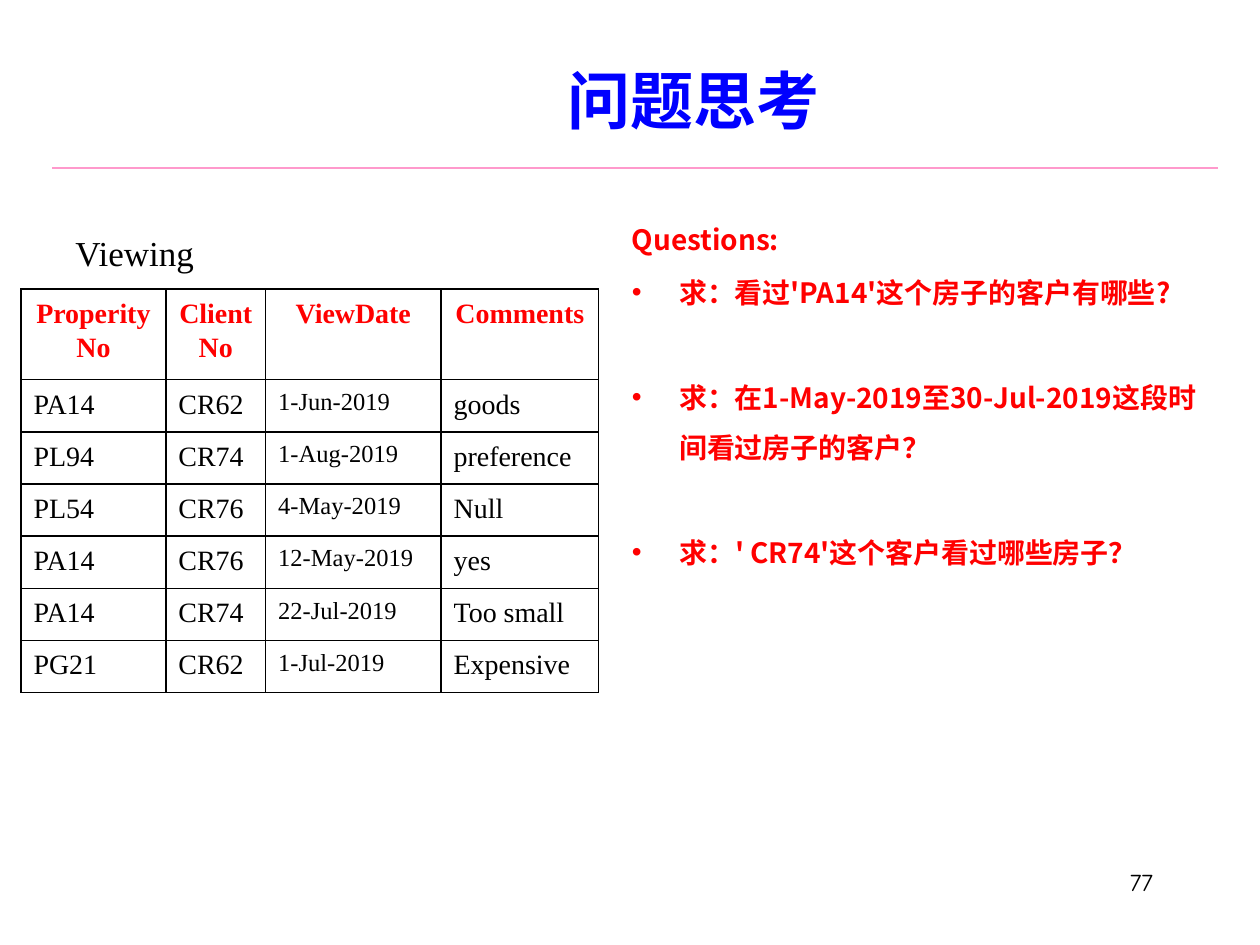
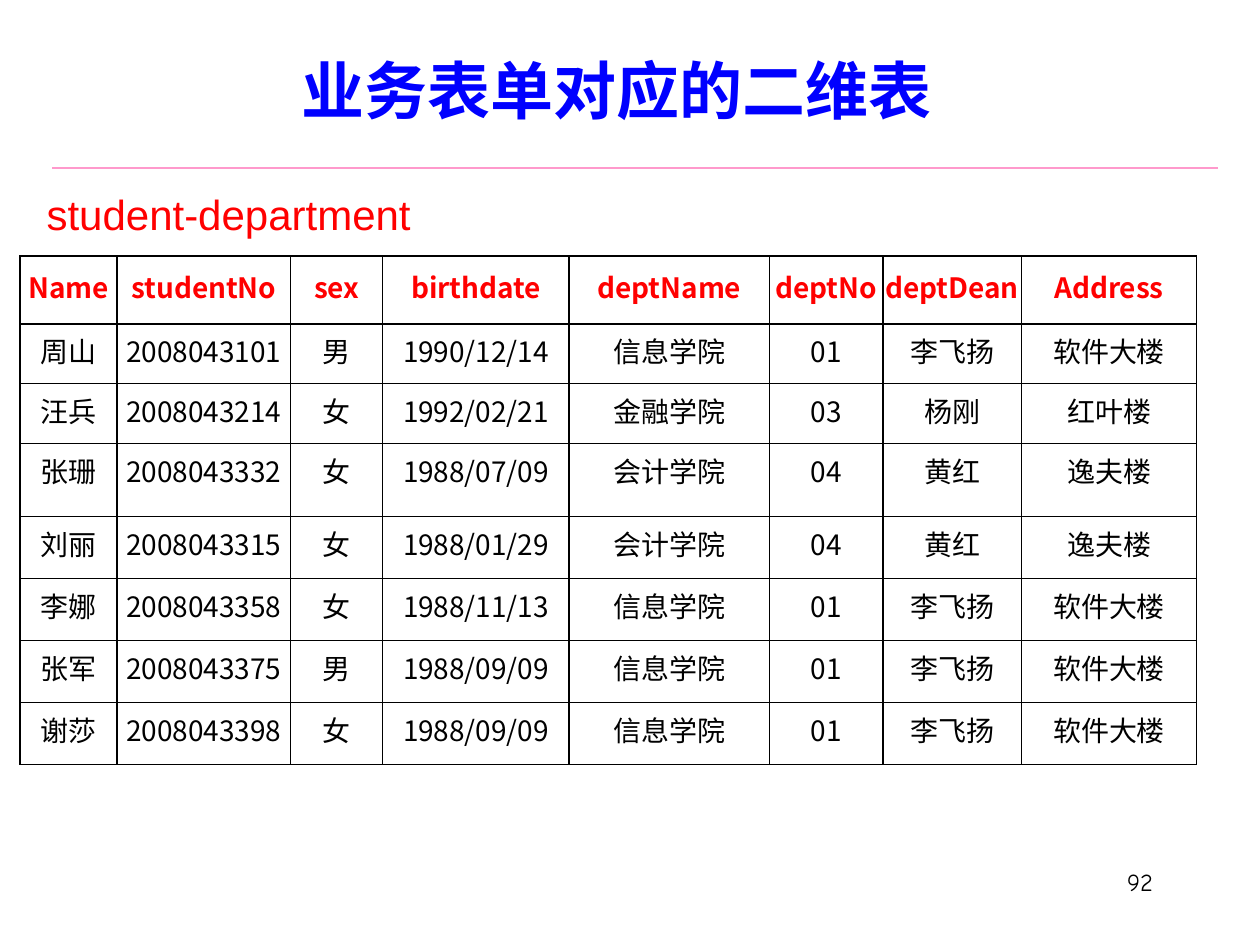
from pptx import Presentation
from pptx.dml.color import RGBColor
from pptx.enum.shapes import MSO_CONNECTOR
from pptx.enum.text import MSO_ANCHOR, MSO_AUTO_SIZE, PP_ALIGN
from pptx.oxml import parse_xml
from pptx.oxml.ns import nsdecls, qn
from pptx.util import Pt
from lxml import etree

LEFT, CENTER, RIGHT = PP_ALIGN.LEFT, PP_ALIGN.CENTER, PP_ALIGN.RIGHT
MIDDLE = MSO_ANCHOR.MIDDLE
NO_FIT = MSO_AUTO_SIZE.NONE
STRAIGHT = MSO_CONNECTOR.STRAIGHT

BLUE = RGBColor(0x00, 0x00, 0xFF)
RED = RGBColor(0xFF, 0x00, 0x00)
BLACK = RGBColor(0x00, 0x00, 0x00)
PINK = RGBColor(0xFF, 0x99, 0xCC)

CJK = "Noto Sans CJK SC"
SERIF = "Times New Roman"
SANS = "Arial"
COMIC = "Comic Neue"


def write(p, text, font, size, color, bold=False, align=LEFT):
    p.text = text
    p.alignment = align
    for r in p.runs:
        r.font.name = font
        r.font.size = Pt(size)
        r.font.bold = bold
        r.font.color.rgb = color
        etree.SubElement(r.font._element, qn("a:ea"), typeface=font)


def add_grid(s, left, top, widths, heights, rows):
    frame = s.shapes.add_table(len(rows), len(widths), Pt(left), Pt(top),
                               Pt(sum(widths)), Pt(sum(heights)))
    table = frame.table
    table.first_row = False
    table.horz_banding = False
    for col, width in zip(table.columns, widths):
        col.width = Pt(width)
    for row, height in zip(table.rows, heights):
        row.height = Pt(height)
    for cell in table.iter_cells():
        tcPr = cell._tc.get_or_add_tcPr()
        for side in ("lnL", "lnR", "lnT", "lnB"):
            tcPr.append(parse_xml(
                f'<a:{side} {nsdecls("a")} w="12700"><a:solidFill>'
                f'<a:srgbClr val="{BLACK}"/></a:solidFill></a:{side}>'))
        cell.fill.background()
    return table


prs = Presentation()
prs.slide_width, prs.slide_height = Pt(720), Pt(540)

pages = [("问题思考", (168, 18, 456, 78), "77"),
         ("业务表单对应的二维表", (20, 12, 664, 78), "92")]
for title, box, number in pages:
    s = prs.slides.add_slide(prs.slide_layouts[5])
    sp = s.shapes.title
    sp.left, sp.top, sp.width, sp.height = map(Pt, box)
    tf = sp.text_frame
    tf.auto_size = NO_FIT
    tf.vertical_anchor = MIDDLE
    write(tf.paragraphs[0], title, CJK, 36, BLUE, True, CENTER)

    rule = s.shapes.add_connector(STRAIGHT, Pt(30), Pt(96), Pt(696), Pt(96))
    rule.line.color.rgb = PINK
    rule.line.width = Pt(1.5)
    etree.SubElement(rule._element.spPr, qn("a:effectLst"))

    tf = s.shapes.add_textbox(Pt(516), Pt(492), Pt(150), Pt(36)).text_frame
    tf.word_wrap = True
    write(tf.paragraphs[0], number, COMIC, 14, BLACK, align=RIGHT)

viewing_slide, student_slide = prs.slides

tf = viewing_slide.shapes.add_textbox(Pt(354), Pt(114), Pt(342), Pt(231)).text_frame
tf.word_wrap = True
questions = [("Questions:", 0),
             ("求：看过'PA14'这个房子的客户有哪些?", 1.6),
             ("求：在1-May-2019至30-Jul-2019这段时间看过房子的客户？", 31),
             ("求：' CR74'这个客户看过哪些房子？", 31)]
for i, (text, gap) in enumerate(questions):
    p = tf.add_paragraph() if i else tf.paragraphs[0]
    write(p, text, CJK, 16, RED, True)
    p.line_spacing = 1.5
    p.space_before = Pt(gap)
    if i:
        pPr = p._p.get_or_add_pPr()
        pPr.set("marL", str(Pt(27)))
        pPr.set("indent", str(Pt(-27)))
        etree.SubElement(pPr, qn("a:buFont"), typeface=SANS)
        etree.SubElement(pPr, qn("a:buChar"), char="•")

tf = viewing_slide.shapes.add_textbox(Pt(36), Pt(129), Pt(83.5), Pt(31)).text_frame
tf.word_wrap = False
tf.vertical_anchor = MIDDLE
write(tf.paragraphs[0], "Viewing", SERIF, 20, BLACK)

viewings = [
    ("ProperityNo", "ClientNo", "ViewDate", "Comments"),
    ("PA14", "CR62", "1-Jun-2019", "goods"),
    ("PL94", "CR74", "1-Aug-2019", "preference"),
    ("PL54", "CR76", "4-May-2019", "Null"),
    ("PA14", "CR76", "12-May-2019", "yes"),
    ("PA14", "CR74", "22-Jul-2019", "Too small"),
    ("PG21", "CR62", "1-Jul-2019", "Expensive"),
]
table = add_grid(viewing_slide, 12, 165, [82.8, 57, 100.3, 90], [52] + [29.8] * 6, viewings)
for i, row in enumerate(viewings):
    for j, text in enumerate(row):
        p = table.cell(i, j).text_frame.paragraphs[0]
        if i == 0:
            write(p, text, SERIF, 16, RED, True, CENTER)
        else:
            write(p, text, SERIF, 14 if j == 2 else 16, BLACK)
        p.line_spacing = 1.1

students = [
    ("Name", "studentNo", "sex", "birthdate", "deptName", "deptNo", "deptDean", "Address"),
    ("周山", "2008043101", "男", "1990/12/14", "信息学院", "01", "李飞扬", "软件大楼"),
    ("汪兵", "2008043214", "女", "1992/02/21", "金融学院", "03", "杨刚", "红叶楼"),
    ("张珊", "2008043332", "女", "1988/07/09", "会计学院", "04", "黄红", "逸夫楼"),
    ("刘丽", "2008043315", "女", "1988/01/29", "会计学院", "04", "黄红", "逸夫楼"),
    ("李娜", "2008043358", "女", "1988/11/13", "信息学院", "01", "李飞扬", "软件大楼"),
    ("张军", "2008043375", "男", "1988/09/09", "信息学院", "01", "李飞扬", "软件大楼"),
    ("谢莎", "2008043398", "女", "1988/09/09", "信息学院", "01", "李飞扬", "软件大楼"),
]
table = add_grid(student_slide, 11.5, 146.2, [55.4, 99.2, 52.6, 106.6, 114.5, 64.8, 79.2, 100.1],
                 [38.9, 34, 34.4, 41.8] + [35.4] * 4, students)
for i, row in enumerate(students):
    for j, text in enumerate(row):
        cell = table.cell(i, j)
        if i == 0 or j in (1, 3):
            cell.margin_left = cell.margin_right = 0
        if i == 0:
            cell.margin_top, cell.margin_bottom = Pt(6), 0
        write(cell.text_frame.paragraphs[0], text, CJK, 16,
              BLACK if i else RED, i == 0, CENTER)

tf = student_slide.shapes.add_textbox(Pt(19.5), Pt(104), Pt(234), Pt(36)).text_frame
tf.word_wrap = True
tf.vertical_anchor = MIDDLE
write(tf.paragraphs[0], "student-department", SANS, 24, RED)

prs.save("out.pptx")
